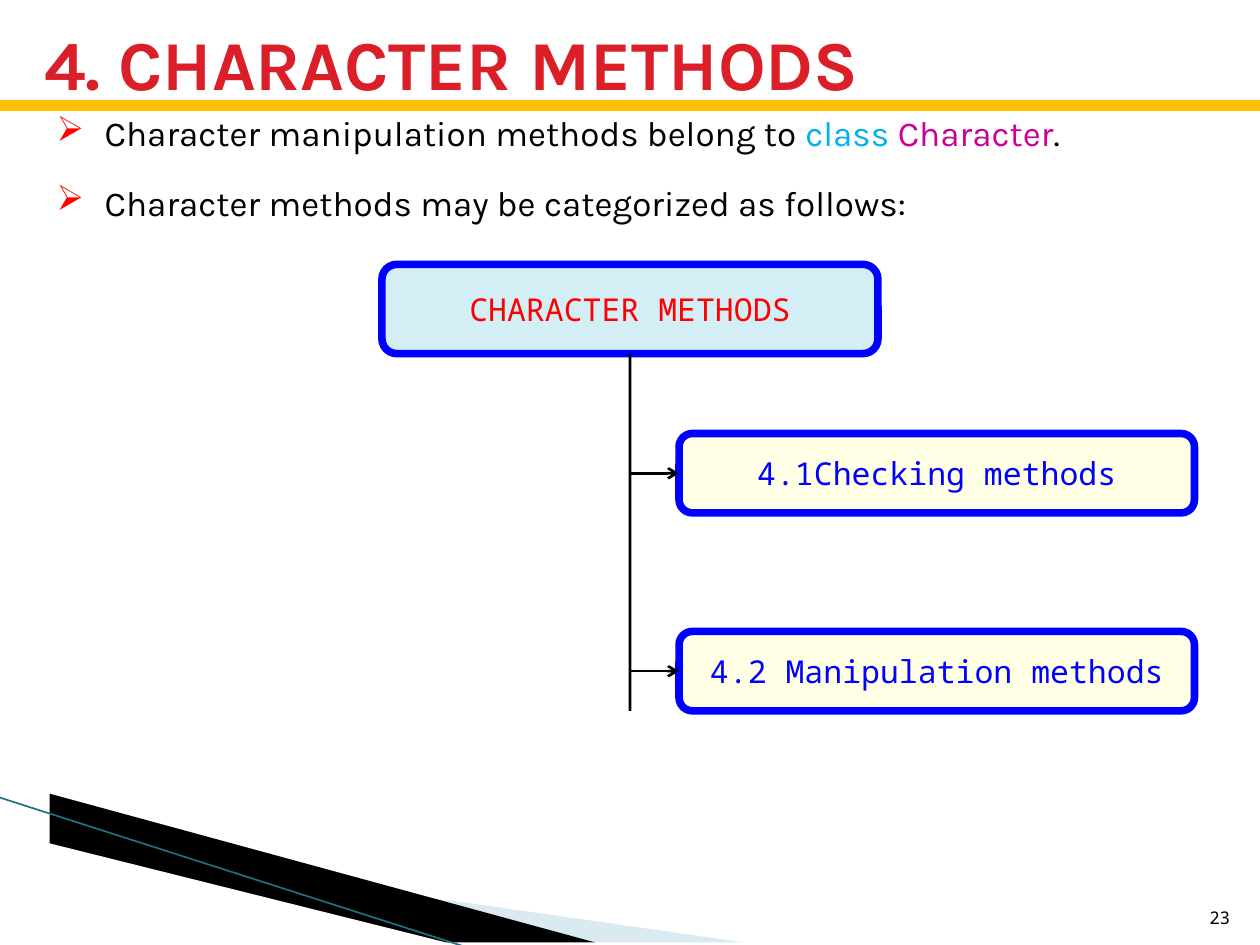
import pptx
import pptx.util
import pptx.dml.color
import pptx.enum.shapes
import pptx.enum.text
import pptx.oxml
import pptx.oxml.ns
from lxml import etree

Cm, Pt = pptx.util.Cm, pptx.util.Pt
ALIGN = pptx.enum.text.PP_ALIGN
ANCHOR = pptx.enum.text.MSO_ANCHOR
SHAPE = pptx.enum.shapes.MSO_SHAPE
qn = pptx.oxml.ns.qn

SANS, MONO = "Karla", "Noto Sans Mono"
BLACK, RED, BLUE = "000000", "FF0000", "0000FF"

TITLE = "4. CHARACTER METHODS"
PAGE = "23"
BULLETS = [
    [("Character manipulation methods belong to ", BLACK), ("class ", "00B0F0"),
     ("Character", "CC0099"), (".", BLACK)],
    [("Character methods may be categorized as follows:", BLACK)],
]
ROOT = "CHARACTER METHODS"
CHILDREN = ["4.1Checking methods", "4.2 Manipulation methods"]
WEDGES = [
    ([(1.4, 16.54), (15.11, 19.08), (11.58, 19.08), (1.4, 16.51)], "A0CBDC", 40),
    ([(1.35, 16.48), (11.61, 19.08), (9.45, 19.1), (1.37, 16.51)], BLACK, 100),
]

SLIDE_W, SLIDE_H = 25.4, 19.05
BULLET_TOP, BULLET_STEP = 2.13, 1.4
ROOT_TOP, ROOT_W, ROOT_H = 5.33, 10, 1.8
CHILD_LEFT, CHILD_W, CHILD_H = 13.69, 10.39, 1.6
CHILD_TOP, CHILD_STEP = 8.74, 3.99


def rgb(value):
    return pptx.dml.color.RGBColor.from_string(value)


def style(r, font, size, color, bold=False):
    r.font.name, r.font.size, r.font.bold = font, Pt(size), bold
    r.font.color.rgb = rgb(color)


def add_text(s, box, text, font, size, color, bold=False, align=ALIGN.LEFT, anchor=ANCHOR.TOP):
    tf = s.shapes.add_textbox(*map(Cm, box)).text_frame
    tf.word_wrap, tf.vertical_anchor = True, anchor
    p = tf.paragraphs[0]
    p.text, p.alignment = text, align
    style(p.runs[0], font, size, color, bold)


def add_bullet(s, top, parts):
    tf = s.shapes.add_textbox(Cm(0.89), Cm(top), Cm(24), Cm(1.12)).text_frame
    tf.word_wrap = True
    p = tf.paragraphs[0]
    pPr = p._p.get_or_add_pPr()
    pPr.set("marL", str(Cm(0.97)))
    pPr.set("indent", str(-Cm(0.97)))
    color = etree.SubElement(pPr, qn("a:buClr"))
    etree.SubElement(color, qn("a:srgbClr")).set("val", RED)
    etree.SubElement(pPr, qn("a:buChar")).set("char", "➢")
    for text, run_color in parts:
        r = p.add_run()
        r.text = text
        style(r, SANS, 20, run_color)


def add_box(s, box, text, fill, color):
    sp = s.shapes.add_shape(SHAPE.ROUNDED_RECTANGLE, *map(Cm, box))
    sp.shadow.inherit = False
    sp.fill.solid()
    sp.fill.fore_color.rgb = rgb(fill)
    sp.line.color.rgb, sp.line.width = rgb(BLUE), Pt(4.33)
    tf = sp.text_frame
    tf.word_wrap, tf.vertical_anchor = True, ANCHOR.MIDDLE
    p = tf.paragraphs[0]
    p.text, p.alignment = text, ALIGN.CENTER
    style(p.runs[0], MONO, 18, color)
    return sp


def add_line(s, x1, y1, x2, y2, color, width, arrow=False):
    line = s.shapes.add_connector(pptx.enum.shapes.MSO_CONNECTOR.STRAIGHT,
                                  Cm(x1), Cm(y1), Cm(x2), Cm(y2))
    line.line.color.rgb, line.line.width = rgb(color), Pt(width)
    if arrow:
        etree.SubElement(line.line._get_or_add_ln(), qn("a:tailEnd")).set("type", "arrow")
    etree.SubElement(line._element.spPr, qn("a:effectLst"))
    return line


def add_wedge(s, points, color, alpha):
    builder = s.shapes.build_freeform(*points[0], scale=Cm(1))
    builder.add_line_segments(points[1:], close=True)
    sp = builder.convert_to_shape()
    sp.shadow.inherit = False
    sp.fill.solid()
    sp.fill.fore_color.rgb = rgb(color)
    sp.line.fill.background()
    if alpha < 100:
        clr = sp._element.spPr.find(qn("a:solidFill")).find(qn("a:srgbClr"))
        etree.SubElement(clr, qn("a:alpha")).set("val", str(alpha * 1000))


def main():
    prs = pptx.Presentation()
    prs.slide_width, prs.slide_height = Cm(SLIDE_W), Cm(SLIDE_H)
    s = prs.slides.add_slide(prs.slide_layouts[6])

    for wedge in WEDGES:
        add_wedge(s, *wedge)
    add_line(s, 0, 16.08, 9.42, 19.1, "1F7083", 0.95)
    add_line(s, 0, 2.13, SLIDE_W, 2.13, "FFC000", 6)

    add_text(s, (0.64, 0.43, 24.05, 1.65), TITLE, SANS, 40, "DA1F28", True, anchor=ANCHOR.MIDDLE)
    add_text(s, (24.03, 17.81, 1.02, 1.02), PAGE, MONO, 10, BLACK,
             align=ALIGN.RIGHT, anchor=ANCHOR.BOTTOM)
    for i, parts in enumerate(BULLETS):
        add_bullet(s, BULLET_TOP + i * BULLET_STEP, parts)

    mid = SLIDE_W / 2
    root = add_box(s, (mid - ROOT_W / 2, ROOT_TOP, ROOT_W, ROOT_H), ROOT, "D3EEF5", RED)
    trunk_end = CHILD_TOP + (len(CHILDREN) - 1) * CHILD_STEP + CHILD_H
    trunk = add_line(s, mid, ROOT_TOP + ROOT_H, mid, trunk_end, BLACK, 1.5)
    trunk.begin_connect(root, 2)
    for i, text in enumerate(CHILDREN):
        top = CHILD_TOP + i * CHILD_STEP
        child = add_box(s, (CHILD_LEFT, top, CHILD_W, CHILD_H), text, "FFFFE5", BLUE)
        y = top + CHILD_H / 2
        branch = add_line(s, mid, y, CHILD_LEFT, y, BLACK, 1.5, arrow=True)
        branch.end_connect(child, 1)

    prs.save("out.pptx")


if __name__ == "__main__":
    main()
